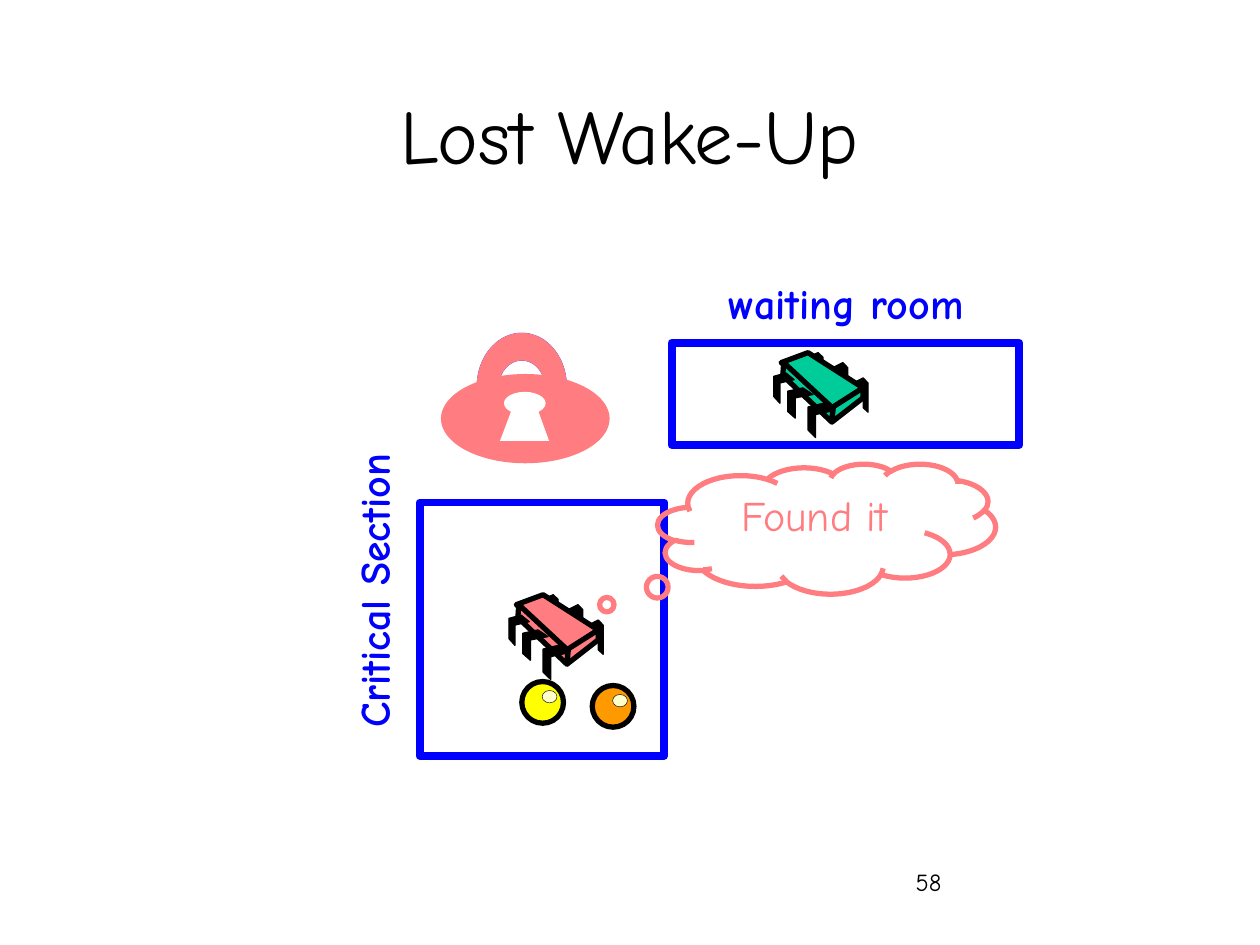
import math

from pptx import Presentation
from pptx.dml.color import RGBColor
from pptx.enum.shapes import MSO_SHAPE
from pptx.enum.text import MSO_ANCHOR, MSO_AUTO_SIZE, PP_ALIGN
from pptx.util import Cm, Pt

RECT, OVAL, CLOUD = MSO_SHAPE.RECTANGLE, MSO_SHAPE.OVAL, MSO_SHAPE.CLOUD_CALLOUT
LEFT, CENTER, RIGHT = PP_ALIGN.LEFT, PP_ALIGN.CENTER, PP_ALIGN.RIGHT
TOP, MIDDLE = MSO_ANCHOR.TOP, MSO_ANCHOR.MIDDLE
FIT = MSO_AUTO_SIZE.SHAPE_TO_FIT_TEXT

FONT = "Comic Neue"
COLORS = {
    "black": "000000", "white": "FFFFFF", "blue": "0000FF", "pink": "FF7C80",
    "green": "00CC99", "orange": "FF9900", "yellow": "FFFF00", "cream": "FFFFCC",
}

BACK_LEG = [(0, 0.15), (0.67, 0), (1, 0.15), (1, 1), (0.67, 0.87), (0.67, 0.3), (0, 0.44)]
FRONT_LEG = [(0.6, 0), (1, 0.22), (0.3, 0.33), (0.3, 1), (0, 0.78), (0, 0.11)]
BACK_LEGS = [(1.6, 0.51, 0.3, 0.69), (1.19, 0.2, 0.3, 0.69), (0.69, 0, 0.3, 0.61)]
FRONT_LEGS = [(0.69, 1.02, 0.51, 0.69), (0.28, 0.71, 0.51, 0.61), (0, 0.41, 0.41, 0.61)]
CHIP_FACES = [
    [(0.69, 0), (1.8, 0.71), (1.18, 1.12), (0.15, 0.2)],
    [(0.2, 0.2), (1.19, 1.12), (1.17, 1.4), (0.18, 0.46)],
    [(1.8, 0.71), (1.8, 0.91), (1.17, 1.4), (1.2, 1.09)],
]


def rgb(name):
    return RGBColor.from_string(COLORS[name])


def write(sp, text, size=24, color="black", bold=False, align=LEFT, anchor=TOP, wrap=True):
    tf = sp.text_frame
    tf.word_wrap = wrap
    tf.vertical_anchor = anchor
    if not wrap:
        tf.auto_size = FIT
    p = tf.paragraphs[0]
    p.alignment = align
    r = p.add_run()
    r.text = text
    r.font.name = FONT
    r.font.size = Pt(size)
    r.font.bold = bold
    r.font.color.rgb = rgb(color)


class Sketch:
    def __init__(self, slide):
        self.slide = slide
        self.shapes = slide.shapes

    def group(self):
        self.shapes = self.slide.shapes.add_group_shape().shapes

    def ungroup(self):
        self.shapes = self.slide.shapes

    def paint(self, sp, fill, line, width):
        sp.shadow.inherit = False
        if fill:
            sp.fill.solid()
            sp.fill.fore_color.rgb = rgb(fill)
        else:
            sp.fill.background()
        if line:
            sp.line.color.rgb = rgb(line)
            sp.line.width = Pt(width)
        else:
            sp.line.fill.background()
        return sp

    def shape(self, kind, x, y, w, h, fill=None, line=None, width=3):
        sp = self.shapes.add_shape(kind, Cm(x), Cm(y), Cm(w), Cm(h))
        return self.paint(sp, fill, line, width)

    def outline(self, points, fill, line=None, width=3):
        start, *rest = [(Cm(x), Cm(y)) for x, y in points]
        builder = self.shapes.build_freeform(*start)
        builder.add_line_segments(rest, close=True)
        return self.paint(builder.convert_to_shape(), fill, line, width)

    def label(self, text, x, y, w, h, rotation=0, **style):
        sp = self.shapes.add_textbox(Cm(x), Cm(y), Cm(w), Cm(h))
        sp.rotation = rotation
        write(sp, text, **style)

    def legs(self, x, y, leg, places):
        for dx, dy, w, h in places:
            points = [(x + dx + w * u, y + dy + h * v) for u, v in leg]
            self.outline(points, "black", "black", 0.75)

    def chip(self, x, y, color):
        self.group()
        self.legs(x, y, BACK_LEG, BACK_LEGS)
        for face in CHIP_FACES:
            self.outline([(x + dx, y + dy) for dx, dy in face], color, "black")
        self.legs(x, y, FRONT_LEG, FRONT_LEGS)
        self.ungroup()

    def shackle(self, color, cx=10.52, cy=7.8):
        angles = [math.pi * i / 40 for i in range(41)]
        outer = [(cx + 0.91 * math.cos(a), cy - 1.09 * math.sin(a)) for a in angles]
        inner = [(cx + 0.46 * math.cos(a), cy - 0.53 * math.sin(a)) for a in reversed(angles)]
        self.outline(outer + inner, color)

    def lock(self):
        self.group()
        self.shape(OVAL, 8.89, 7.54, 3.4, 1.8, "pink")
        self.shape(OVAL, 10.16, 7.9, 0.84, 0.46, "white")
        self.outline([(10.08, 8.89), (10.34, 8.2), (10.82, 8.2), (11.07, 8.89)], "white")
        self.shackle("pink")
        self.ungroup()

    def ball(self, x, y, color):
        self.group()
        self.shape(OVAL, x, y, 0.84, 0.84, color, "black")
        self.shape(OVAL, x + 0.41, y + 0.18, 0.3, 0.25, "cream", "black", 0.25)
        self.ungroup()


def main():
    prs = Presentation()
    prs.slide_width, prs.slide_height = Cm(25.4), Cm(19.05)
    s = Sketch(prs.slides.add_slide(prs.slide_layouts[6]))

    s.label("58", 18.21, 17.35, 5.28, 1.27, size=14)
    s.chip(10.26, 11.99, "pink")
    s.label("Lost Wake-Up", 1.9, 1.12, 21.59, 3.17, size=44, align=CENTER, anchor=MIDDLE)
    s.shackle("blue")

    heading = {"color": "blue", "bold": True, "wrap": False}
    s.shape(RECT, 8.46, 10.13, 4.93, 5.11, line="blue", width=4.5)
    s.label("Critical Section", 4.11, 11.68, 6.83, 1.27, rotation=270, align=RIGHT, **heading)
    s.shape(RECT, 13.54, 6.91, 7.01, 2.06, line="blue", width=4.5)
    s.label("waiting room", 14.43, 5.46, 5.64, 1.27, **heading)

    s.chip(15.6, 7.11, "green")
    s.lock()
    s.ball(11.94, 13.82, "orange")
    s.ball(10.52, 13.74, "yellow")

    cloud = s.shape(CLOUD, 13.26, 9.35, 6.81, 2.62, line="pink")
    cloud.adjustments[0] = -0.78
    cloud.adjustments[1] = 0.7
    write(cloud, "Found it", color="pink", align=CENTER)

    prs.save("out.pptx")


if __name__ == "__main__":
    main()
